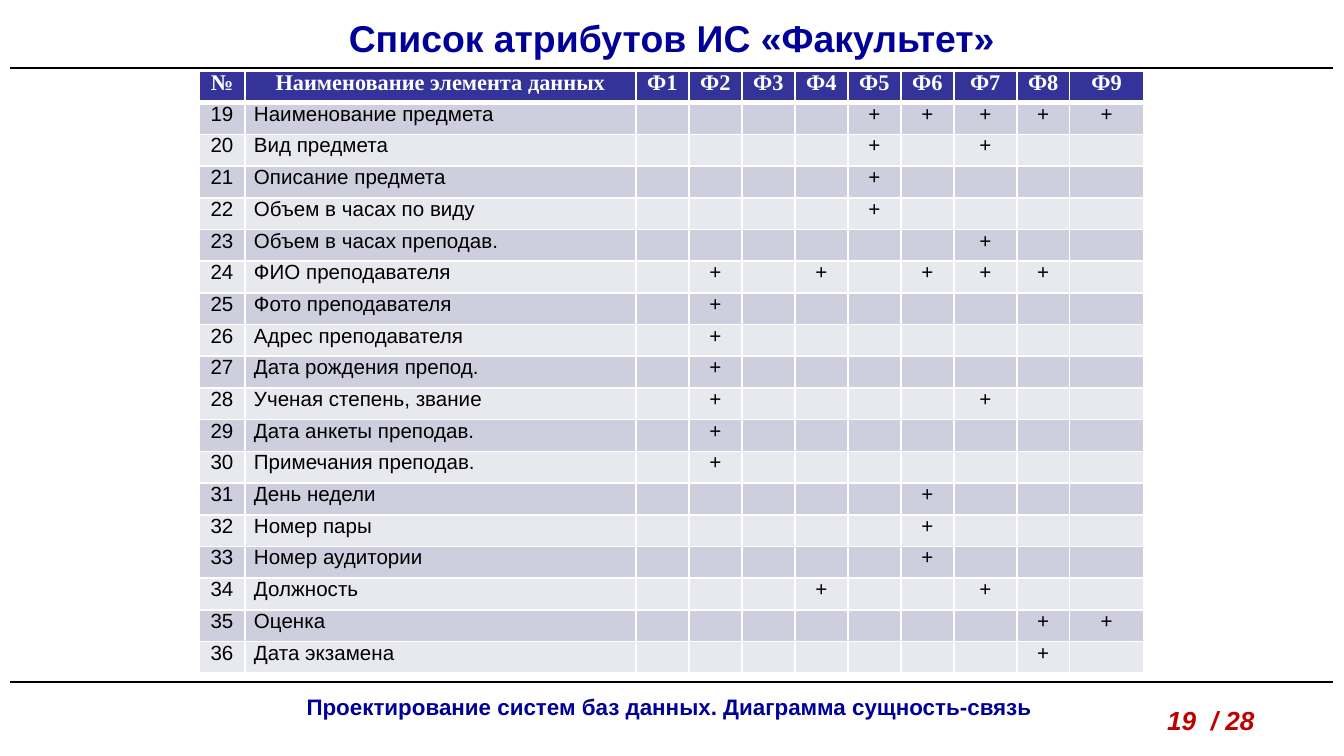
from lxml.etree import SubElement
from pptx import Presentation
from pptx.dml.color import RGBColor
from pptx.enum.shapes import MSO_CONNECTOR
from pptx.enum.text import MSO_ANCHOR, PP_ALIGN
from pptx.oxml.ns import qn
from pptx.util import Pt

PX = 914400 / 134.4
NAVY = RGBColor(0x00, 0x00, 0x99)
RED = RGBColor(0xC0, 0x00, 0x00)
BLACK = RGBColor(0x00, 0x00, 0x00)
WHITE = RGBColor(0xFF, 0xFF, 0xFF)
HEADER_FILL = RGBColor(0x33, 0x33, 0x99)
BAND_FILLS = [RGBColor(0xCE, 0xCE, 0xDE), RGBColor(0xE8, 0xE8, 0xEF)]

FORMS = range(1, 10)
FIRST_NUMBER = 19
# Attribute name and the numbers of the forms that use it
ATTRIBUTES = [
    ("Наименование предмета", {5, 6, 7, 8, 9}),
    ("Вид предмета", {5, 7}),
    ("Описание предмета", {5}),
    ("Объем в часах по виду", {5}),
    ("Объем в часах преподав.", {7}),
    ("ФИО преподавателя", {2, 4, 6, 7, 8}),
    ("Фото преподавателя", {2}),
    ("Адрес преподавателя", {2}),
    ("Дата рождения препод.", {2}),
    ("Ученая степень, звание", {2, 7}),
    ("Дата анкеты преподав.", {2}),
    ("Примечания преподав.", {2}),
    ("День недели", {6}),
    ("Номер пары", {6}),
    ("Номер аудитории", {6}),
    ("Должность", {4, 7}),
    ("Оценка", {8, 9}),
    ("Дата экзамена", {8}),
]
COLUMN_WIDTHS = [46, 391] + [53] * 6 + [63, 53, 74]
TABLE_HEIGHT = 603


def px(length):
    return round(length * PX)


def write(frame, text, size=11, color=BLACK, bold=False, italic=False,
          font="Arial", align=PP_ALIGN.LEFT):
    paragraph = frame.paragraphs[0]
    paragraph.alignment = align
    if not text:
        # An empty cell still needs a small font, or its row grows
        SubElement(paragraph._p, qn("a:endParaRPr"), sz=str(size * 100))
        return
    run = paragraph.add_run()
    run.text = text
    run.font.size = Pt(size)
    run.font.name = font
    run.font.bold = bold
    run.font.italic = italic
    run.font.color.rgb = color


def add_border(cell, side, width):
    line = SubElement(cell._tc.get_or_add_tcPr(), qn(f"a:ln{side}"), w=str(Pt(width)))
    SubElement(SubElement(line, qn("a:solidFill")), qn("a:srgbClr"), val=str(WHITE))


class SlideBuilder:
    """Draws styled elements on one slide."""

    def __init__(self, slide):
        self.slide = slide

    def text(self, left, top, width, height, text, anchor=MSO_ANCHOR.TOP, **style):
        box = self.slide.shapes.add_textbox(px(left), px(top), px(width), px(height))
        box.text_frame.word_wrap = True
        box.text_frame.vertical_anchor = anchor
        write(box.text_frame, text, bold=True, **style)

    def rule(self, left, right, y):
        rule = self.slide.shapes.add_connector(
            MSO_CONNECTOR.STRAIGHT, px(left), px(y), px(right), px(y))
        rule.line.color.rgb = BLACK
        rule.line.width = Pt(0.75)
        SubElement(rule._element.spPr, qn("a:effectLst"))

    def table(self, left, top, widths, height, rows):
        table = self.slide.shapes.add_table(
            len(rows), len(widths), px(left), px(top), px(sum(widths)), px(height)).table
        table.first_row = table.horz_banding = False
        for column, width in zip(table.columns, widths):
            column.width = px(width)
        for r, values in enumerate(rows):
            table.rows[r].height = px(height / len(rows))
            for c, value in enumerate(values):
                self.cell(table.cell(r, c), value, r, c)

    def cell(self, cell, value, row, column):
        cell.margin_left = cell.margin_right = px(9)
        cell.margin_top = cell.margin_bottom = 0
        for side in "LRTB":
            under_header = (row, side) in [(0, "B"), (1, "T")]
            add_border(cell, side, 3 if under_header else 1)
        cell.fill.solid()
        if row == 0:
            cell.fill.fore_color.rgb = HEADER_FILL
            write(cell.text_frame, value, size=12, color=WHITE, bold=True,
                  font="Times New Roman", align=PP_ALIGN.CENTER)
        else:
            cell.fill.fore_color.rgb = BAND_FILLS[(row - 1) % 2]
            write(cell.text_frame, value,
                  align=PP_ALIGN.LEFT if column == 1 else PP_ALIGN.CENTER)


def attribute_rows():
    header = ["№", "Наименование элемента данных"] + [f"Ф{form}" for form in FORMS]
    body = [
        [str(number), name] + ["+" if form in used else "" for form in FORMS]
        for number, (name, used) in enumerate(ATTRIBUTES, FIRST_NUMBER)
    ]
    return [header] + body


def main():
    presentation = Presentation()
    presentation.slide_width = px(1344)
    presentation.slide_height = px(756)
    builder = SlideBuilder(presentation.slides.add_slide(presentation.slide_layouts[6]))

    builder.text(168, 687, 1003, 40,
                 "Проектирование систем баз данных. Диаграмма сущность-связь",
                 size=12, color=NAVY, align=PP_ALIGN.CENTER)
    for y in (682, 68):
        builder.rule(10, 1333, y)
    builder.text(1154, 698, 137, 46, "19  / 28", size=14, color=RED, italic=True)
    builder.text(0, 8, 1344, 60, "Список атрибутов ИС «Факультет»",
                 anchor=MSO_ANCHOR.MIDDLE, size=20, color=NAVY, align=PP_ALIGN.CENTER)
    builder.table(199, 71, COLUMN_WIDTHS, TABLE_HEIGHT, attribute_rows())
    presentation.save("out.pptx")


if __name__ == "__main__":
    main()
